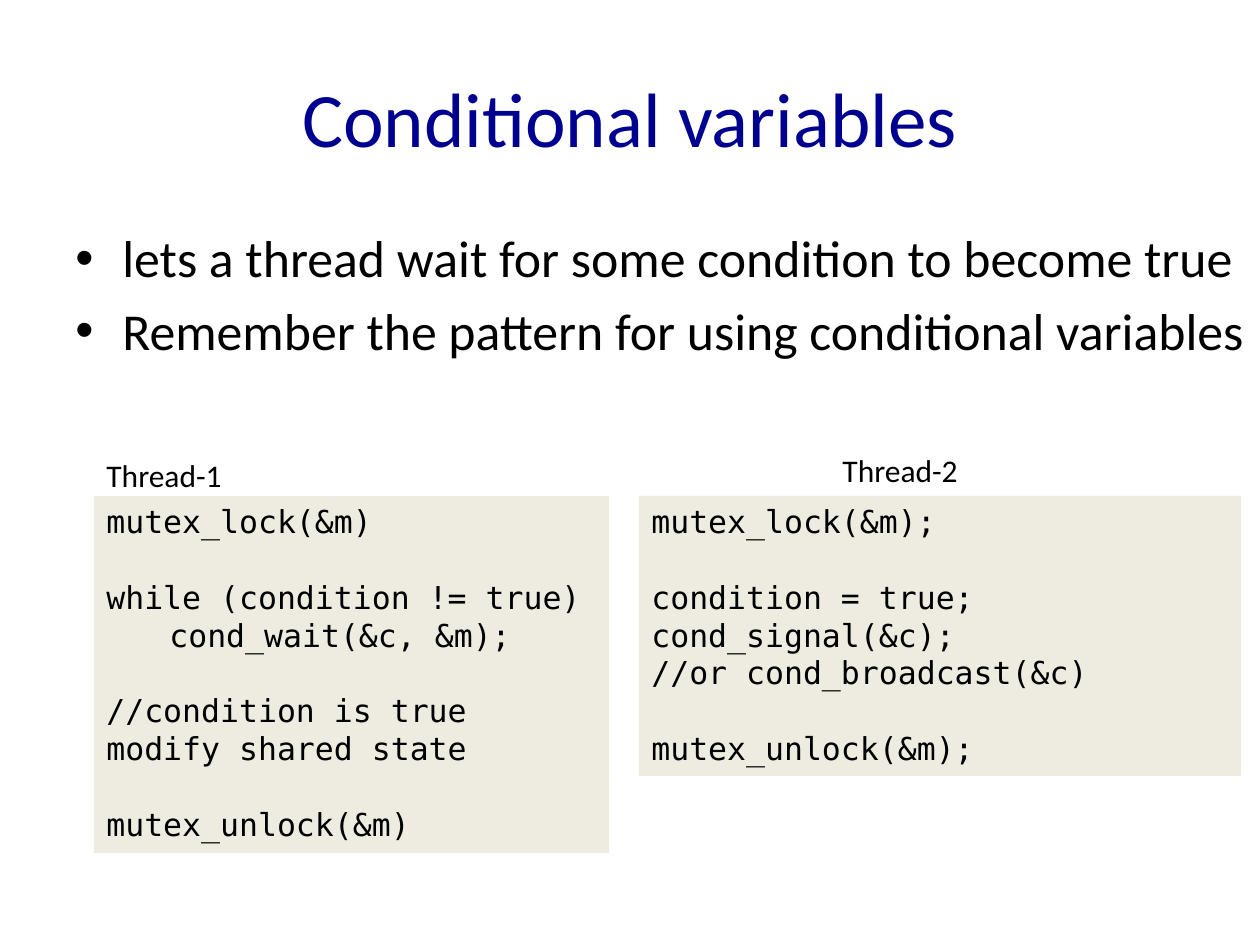
from pptx import Presentation
from pptx.dml.color import RGBColor
from pptx.enum.shapes import MSO_SHAPE
from pptx.enum.text import MSO_ANCHOR, PP_ALIGN
from pptx.oxml.ns import qn
from pptx.util import Emu, Pt
from lxml import etree

RECTANGLE = MSO_SHAPE.RECTANGLE
TOP, MIDDLE = MSO_ANCHOR.TOP, MSO_ANCHOR.MIDDLE
LEFT, CENTER = PP_ALIGN.LEFT, PP_ALIGN.CENTER

COLORS = {"title": "000090", "text": "000000", "code": "EEECE1"}
SANS, MONO = "Calibri", "DejaVu Sans Mono"

TITLE = "Conditional variables"
POINTS = [
    "lets a thread wait for some condition to become true",
    "Remember the pattern for using conditional variables",
]
THREADS = [
    {
        "label": "Thread-1",
        "label_at": (94, 450),
        "code_at": (94, 496, 515, 357),
        "groups": [
            ["mutex_lock(&m)"],
            ["while (condition != true)", "    cond_wait(&c, &m);"],
            ["//condition is true", "modify shared state"],
            ["mutex_unlock(&m)"],
        ],
    },
    {
        "label": "Thread-2",
        "label_at": (830, 445),
        "code_at": (639, 496, 602, 280),
        "groups": [
            ["mutex_lock(&m);"],
            ["condition = true;", "cond_signal(&c);", "//or cond_broadcast(&c)"],
            ["mutex_unlock(&m);"],
        ],
    },
]
LABEL_SIZE = (142, 50)
BULLET_INDENT = 47
CODE_INDENT = 63
CODE_LINE = 21.6


def px(length):
    return Emu(round(length * 914400 / 126))


def color(name):
    return RGBColor.from_string(COLORS[name])


def add_text(paragraph, text, size, font=SANS, tint="text"):
    run = paragraph.add_run()
    run.text = text
    run.font.size = Pt(size)
    run.font.name = font
    run.font.color.rgb = color(tint)


def paragraph_at(frame, index):
    return frame.add_paragraph() if index else frame.paragraphs[0]


def add_box(slide, at, anchor=TOP, wrap=True):
    frame = slide.shapes.add_textbox(*map(px, at)).text_frame
    frame.word_wrap = wrap
    frame.vertical_anchor = anchor
    return frame


def add_points(slide, at):
    frame = add_box(slide, at)
    for index, point in enumerate(POINTS):
        paragraph = paragraph_at(frame, index)
        if index:
            paragraph.space_before = Pt(6)
        properties = paragraph._p.get_or_add_pPr()
        properties.set("marL", str(px(BULLET_INDENT)))
        properties.set("indent", str(px(-BULLET_INDENT)))
        etree.SubElement(properties, qn("a:buFont")).set("typeface", "Arial")
        etree.SubElement(properties, qn("a:buChar")).set("char", "•")
        add_text(paragraph, point, 29.6)


def add_code(slide, at, groups):
    panel = slide.shapes.add_shape(RECTANGLE, *map(px, at))
    panel.shadow.inherit = False
    panel.fill.solid()
    panel.fill.fore_color.rgb = color("code")
    panel.line.fill.background()
    frame = panel.text_frame
    frame.word_wrap = True
    frame.vertical_anchor = TOP
    lines = [(row, line) for group in groups for row, line in enumerate(group)]
    for index, (row, line) in enumerate(lines):
        paragraph = paragraph_at(frame, index)
        paragraph.alignment = LEFT
        if index and row == 0:
            paragraph.space_before = Pt(CODE_LINE)
        if line.startswith(" "):
            properties = paragraph._p.get_or_add_pPr()
            properties.set("marL", str(px(CODE_INDENT)))
            properties.set("indent", "0")
        add_text(paragraph, line.strip(), 18, MONO)


def main():
    deck = Presentation()
    deck.slide_width, deck.slide_height = px(1260), px(945)
    slide = deck.slides.add_slide(deck.slide_layouts[6])

    title = add_box(slide, (63, 38, 1134, 157), MIDDLE).paragraphs[0]
    title.alignment = CENTER
    add_text(title, TITLE, 44, tint="title")
    add_points(slide, (63, 220, 1246, 229))

    for thread in THREADS:
        add_code(slide, thread["code_at"], thread["groups"])
        label = add_box(slide, thread["label_at"] + LABEL_SIZE, wrap=False)
        add_text(label.paragraphs[0], thread["label"], 18)

    deck.save("out.pptx")


if __name__ == "__main__":
    main()
